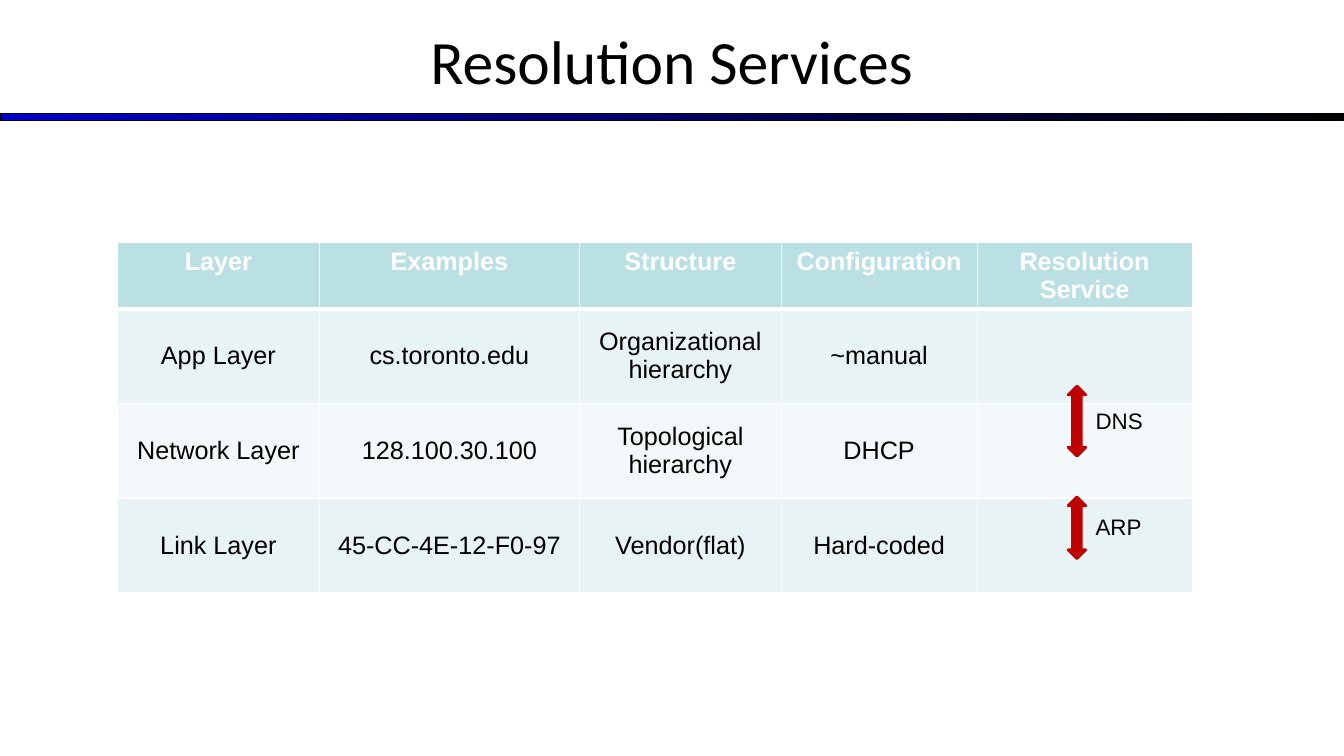
from dataclasses import dataclass

from lxml.etree import SubElement
from pptx import Presentation
from pptx.dml.color import RGBColor as Rgb
from pptx.enum.shapes import MSO_SHAPE as Shape
from pptx.enum.text import MSO_ANCHOR as Anchor, MSO_AUTO_SIZE as AutoSize, PP_ALIGN as Align
from pptx.oxml.ns import qn
from pptx.util import Pt

TITLE = "Resolution Services"
HEADINGS = ["Layer", "Examples", "Structure", "Configuration", "Resolution Service"]
LAYERS = [
    ["App Layer", "cs.toronto.edu", "Organizational hierarchy", "~manual", ""],
    ["Network Layer", "128.100.30.100", "Topological\nhierarchy", "DHCP", ""],
    ["Link Layer", "45-CC-4E-12-F0-97", "Vendor(flat)", "Hard-coded", ""],
]
SERVICES = [
    {"name": "ARP", "arrow_top": 355, "arrow_height": 44, "label_top": 363},
    {"name": "DNS", "arrow_top": 275.8, "arrow_height": 50, "label_top": 287.3},
]

SLIDE_SIZE = (960, 540)
TITLE_BOX = (0, -2, 960, 90)
RULE_BOX = (0, 81, 960, 5)
TABLE_LEFT, TABLE_TOP = 84, 173
COLUMN_WIDTHS = [144, 186, 144, 140, 153.6]
HEADING_HEIGHT, LAYER_HEIGHT = 46.5, 67.6
ARROW_LEFT, ARROW_WIDTH = 763, 12.5
LABEL_LEFT, LABEL_WIDTH, LABEL_HEIGHT = 775.5, 48, 26.6


@dataclass(frozen=True)
class Theme:
    title_font: str = "Calibri"
    body_font: str = "Arial"
    title_size: float = 44
    table_size: float = 18
    label_size: float = 16
    black: str = "000000"
    white: str = "FFFFFF"
    rule_start: str = "0000CC"
    heading_fill: str = "BBE0E3"
    bands: tuple = ("E7F3F4", "F3F9FA")
    arrow: str = "C00000"


theme = Theme()


def color(code):
    return Rgb.from_string(code)


def points(*lengths):
    return [Pt(length) for length in lengths]


def write(frame, text, font, size, ink, align, bold=False):
    frame.text = text
    for paragraph in frame.paragraphs:
        paragraph.alignment = align
        for target in [paragraph, *paragraph.runs]:
            target.font.name = font
            target.font.size = Pt(size)
            target.font.bold = bold
            target.font.color.rgb = color(ink)


def set_borders(cell, top, bottom):
    properties = cell._tc.get_or_add_tcPr()
    for side, width in (("L", 1), ("R", 1), ("T", top), ("B", bottom)):
        border = SubElement(properties, qn(f"a:ln{side}"), w=str(Pt(width)))
        fill = SubElement(border, qn("a:solidFill"))
        SubElement(fill, qn("a:srgbClr"), val=theme.white)


def add_title(slide):
    title = slide.shapes.title
    title.left, title.top, title.width, title.height = points(*TITLE_BOX)
    title.text_frame.vertical_anchor = Anchor.MIDDLE
    write(title.text_frame, TITLE, theme.title_font, theme.title_size, theme.black, Align.CENTER)


def add_rule(slide):
    rule = slide.shapes.add_shape(Shape.RECTANGLE, *points(*RULE_BOX))
    rule.shadow.inherit = False
    rule.fill.gradient()
    rule.fill.gradient_angle = 0
    for stop, code in zip(rule.fill.gradient_stops, (theme.rule_start, theme.black)):
        stop.color.rgb = color(code)
    rule.line.color.rgb = color(theme.black)
    rule.line.width = Pt(0.75)


def add_layer_table(slide):
    rows = [HEADINGS, *LAYERS]
    heights = [HEADING_HEIGHT] + [LAYER_HEIGHT] * len(LAYERS)
    table = slide.shapes.add_table(
        len(rows), len(HEADINGS),
        *points(TABLE_LEFT, TABLE_TOP, sum(COLUMN_WIDTHS), sum(heights)),
    ).table
    table.horz_banding = False
    for column, width in zip(table.columns, COLUMN_WIDTHS):
        column.width = Pt(width)
    for row, height in zip(table.rows, heights):
        row.height = Pt(height)
    for r, texts in enumerate(rows):
        heading = r == 0
        band = theme.heading_fill if heading else theme.bands[(r - 1) % 2]
        ink = theme.white if heading else theme.black
        for c, text in enumerate(texts):
            cell = table.cell(r, c)
            set_borders(cell, 3 if r == 1 else 1, 3 if heading else 1)
            cell.fill.solid()
            cell.fill.fore_color.rgb = color(band)
            cell.vertical_anchor = Anchor.TOP if heading else Anchor.MIDDLE
            write(cell.text_frame, text, theme.body_font, theme.table_size, ink, Align.CENTER, heading)


def add_service(slide, service):
    arrow = slide.shapes.add_shape(
        Shape.UP_DOWN_ARROW,
        *points(ARROW_LEFT, service["arrow_top"], ARROW_WIDTH, service["arrow_height"]),
    )
    arrow.shadow.inherit = False
    arrow.fill.solid()
    arrow.fill.fore_color.rgb = color(theme.arrow)
    arrow.line.color.rgb = color(theme.arrow)
    arrow.line.width = Pt(2)
    label = slide.shapes.add_textbox(
        *points(LABEL_LEFT, service["label_top"], LABEL_WIDTH, LABEL_HEIGHT)
    ).text_frame
    label.word_wrap = False
    label.auto_size = AutoSize.SHAPE_TO_FIT_TEXT
    write(label, service["name"], theme.body_font, theme.label_size, theme.black, Align.LEFT)


def main():
    deck = Presentation()
    deck.slide_width, deck.slide_height = points(*SLIDE_SIZE)
    slide = deck.slides.add_slide(deck.slide_layouts[5])
    add_rule(slide)
    add_title(slide)
    add_layer_table(slide)
    for service in SERVICES:
        add_service(slide, service)
    deck.save("out.pptx")


if __name__ == "__main__":
    main()
